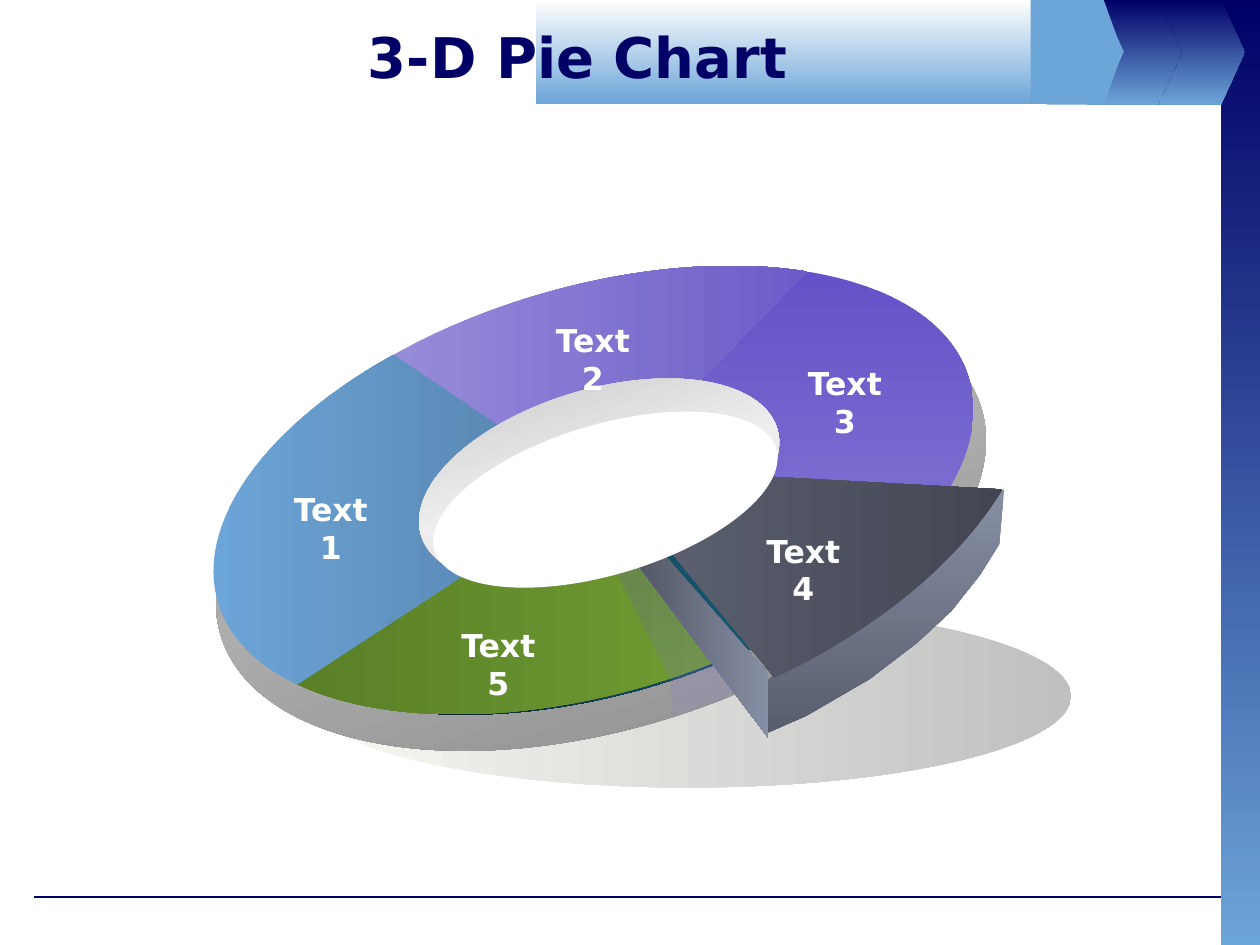
from copy import deepcopy
from math import cos, radians, sin

from lxml.etree import SubElement
from pptx import Presentation
from pptx.dml.color import RGBColor
from pptx.enum.shapes import MSO_CONNECTOR, MSO_SHAPE
from pptx.enum.text import MSO_ANCHOR, PP_ALIGN
from pptx.oxml.ns import qn
from pptx.util import Inches, Pt

NAVY = RGBColor(0x00, 0x00, 0x66)
SKY = RGBColor(0x6C, 0xA5, 0xD8)
STEEL = RGBColor(0x55, 0x80, 0xA8)
TEAL = RGBColor(0x27, 0x91, 0xBB)
WHITE = RGBColor(0xFF, 0xFF, 0xFF)
NEAR_WHITE = RGBColor(0xFE, 0xFE, 0xFE)
BLACK = RGBColor(0x00, 0x00, 0x00)
IVORY = RGBColor(0xF7, 0xF9, 0xF2)
PALE_GREY = RGBColor(0xEE, 0xEE, 0xEE)
SILVER = RGBColor(0xC0, 0xC0, 0xC0)
MID_GREY = RGBColor(0xAD, 0xAD, 0xAD)
GREY = RGBColor(0x80, 0x80, 0x80)
LILAC = RGBColor(0x97, 0x8C, 0xDA)
ORCHID = RGBColor(0x6D, 0x5C, 0xC8)
VIOLET = RGBColor(0x65, 0x52, 0xC8)
SOFT_VIOLET = RGBColor(0x7A, 0x6B, 0xD0)
DEEP_VIOLET = RGBColor(0x5D, 0x4B, 0xC7)
MAUVE = RGBColor(0x92, 0x86, 0xD8)
OLIVE = RGBColor(0x5A, 0x80, 0x28)
GREEN = RGBColor(0x6E, 0x9B, 0x31)
SLATE = RGBColor(0x5F, 0x64, 0x74)
CHARCOAL = RGBColor(0x43, 0x46, 0x52)
DARK_SLATE = RGBColor(0x4D, 0x52, 0x5E)
WALL_DARK = RGBColor(0x59, 0x5E, 0x6D)
WALL_LIGHT = RGBColor(0x87, 0x8F, 0xA5)

ACROSS, DOWN = 0, 90
TILT = -16.6


class SlidePainter:
    """Holds the text style and the slide being drawn."""

    base_font = {"name": "DejaVu Sans", "bold": True}

    def __init__(self, slide):
        self.shapes = slide.shapes

    def paint(self, shape, colors, angle=DOWN, opacity=None):
        """Fill with one colour, or with evenly spaced gradient colours."""
        shape.shadow.inherit = False
        shape.line.fill.background()
        if len(colors) == 1:
            shape.fill.solid()
            shape.fill.fore_color.rgb = colors[0]
            return
        shape.fill.gradient()
        shape.fill.gradient_angle = (360 - angle) % 360
        stop_list = shape._element.spPr.find(qn("a:gradFill")).find(qn("a:gsLst"))
        for _ in colors[2:]:
            stop_list.append(deepcopy(stop_list[-1]))
        for i, (stop, color) in enumerate(zip(shape.fill.gradient_stops, colors)):
            stop.position = i / (len(colors) - 1)
            stop.color.rgb = color
            if opacity is not None:
                alpha = SubElement(stop_list[i][0], qn("a:alpha"))
                alpha.set("val", str(opacity * 1000))

    def preset(self, kind, box, *colors, angle=DOWN, rotation=0):
        shape = self.shapes.add_shape(kind, *map(Inches, box))
        shape.rotation = rotation
        self.paint(shape, colors, angle)

    def polygon(self, points, *colors, angle=DOWN, opacity=None):
        corners = [(Inches(x), Inches(y)) for x, y in points]
        builder = self.shapes.build_freeform(*corners[0])
        builder.add_line_segments(corners[1:], close=True)
        self.paint(builder.convert_to_shape(), colors, angle, opacity)

    def chevron(self, left, shoulder, tip, *colors, height=0.83):
        self.polygon([(left, 0), (shoulder, 0), (tip, height / 2),
                      (shoulder, height), (left, height)], *colors)

    def wedge(self, center, radii, tilt, start, end, *colors, angle=ACROSS):
        """Sector of a tilted ellipse; angles run clockwise from its long axis."""
        (cx, cy), (rx, ry), turn = center, radii, radians(tilt)
        points = [center]
        steps = 40
        for i in range(steps + 1):
            t = radians(start + (end - start) * i / steps)
            u, v = rx * cos(t), ry * sin(t)
            points.append((cx + u * cos(turn) - v * sin(turn),
                           cy + u * sin(turn) + v * cos(turn)))
        self.polygon(points, *colors, angle=angle)

    def rule(self, start, end, color, width):
        line = self.shapes.add_connector(
            MSO_CONNECTOR.STRAIGHT, *map(Inches, (*start, *end)))
        line.line.color.rgb = color
        line.line.width = Pt(width)
        SubElement(line._element.spPr, qn("a:effectLst"))

    def text(self, content, box, size, color, anchor=MSO_ANCHOR.TOP):
        frame = self.shapes.add_textbox(*map(Inches, box)).text_frame
        frame.word_wrap = True
        frame.vertical_anchor = anchor
        paragraph = frame.paragraphs[0]
        paragraph.alignment = PP_ALIGN.CENTER
        run = paragraph.add_run()
        run.text = content
        for key, value in {**self.base_font, "size": Pt(size)}.items():
            setattr(run.font, key, value)
        run.font.color.rgb = color


def main():
    deck = Presentation()
    deck.slide_width, deck.slide_height = Inches(10), Inches(7.5)
    painter = SlidePainter(deck.slides.add_slide(deck.slide_layouts[6]))
    rectangle, ellipse = MSO_SHAPE.RECTANGLE, MSO_SHAPE.OVAL

    # Frame: footer rule, side bar and header arrows
    painter.rule((0.27, 7.12), (9.69, 7.12), NAVY, 0.75)
    painter.preset(rectangle, (9.69, 0, 0.31, 7.53), NAVY, SKY)
    painter.chevron(9.13, 9.69, 9.88, NAVY, SKY)
    painter.chevron(8.63, 9.19, 9.38, NAVY, SKY)
    painter.chevron(8.31, 8.76, 8.91, SKY)
    painter.preset(rectangle, (4.25, 0, 4.18, 0.83), NEAR_WHITE, SKY)
    painter.chevron(8.18, 8.73, 8.92, SKY, height=0.82)

    # Shadow and body of the ring
    painter.preset(ellipse, (2.42, 4.8, 6.08, 1.45), IVORY, SILVER, angle=ACROSS)
    painter.preset(ellipse, (1.62, 2.49, 6.3, 3.3), GREY, MID_GREY, GREY,
                   rotation=TILT)
    painter.preset(ellipse, (1.69, 2.31, 6.08, 3.2), BLACK, TEAL,
                   angle=ACROSS, rotation=TILT)

    # Ring segments
    segments = [
        (-47, 29.5, VIOLET, SOFT_VIOLET, DOWN),
        (80, 150, GREEN, OLIVE, 180),
        (247, 313, LILAC, ORCHID, ACROSS),
        (150, 247, SKY, STEEL, ACROSS),
    ]
    for start, end, first, last, angle in segments:
        painter.wedge((4.71, 3.89), (3.11, 1.61), TILT, start, end,
                      first, last, angle=angle)

    # Pulled-out segment with its outer and inner walls
    painter.polygon([(6.07, 5.42), (7.97, 3.88), (7.93, 4.32), (7.78, 4.56),
                     (7.55, 4.85), (7.28, 5.1), (6.9, 5.39), (6.4, 5.68),
                     (6.08, 5.82)], WALL_LIGHT, WALL_DARK)
    painter.wedge((4.77, 3.71), (3.57, 2.06), -17.7, 33.4, 77, SLATE, CHARCOAL)
    painter.polygon([(6.1, 5.35), (6.1, 5.86), (4.97, 4.36), (5.14, 4.25)],
                    DARK_SLATE, WALL_LIGHT, angle=ACROSS)

    # Inner rim
    painter.preset(ellipse, (3.28, 3.09, 2.95, 1.47), SILVER, PALE_GREY, SILVER,
                   rotation=TILT)

    # Segment labels
    label_corners = [(2.18, 3.84), (4.26, 2.5), (6.26, 2.84), (5.93, 4.17),
                     (3.51, 4.92)]
    for number, corner in enumerate(label_corners, 1):
        painter.text(f"Text{number}", (*corner, 0.89, 0.4), 18, WHITE)

    # Reflection on the green segment, then the hole
    painter.polygon([(4.88, 4.51), (5.33, 5.4), (5.34, 5.67), (5.66, 5.57),
                     (5.83, 5.49), (5.08, 4.49)], DEEP_VIOLET, MAUVE, opacity=19)
    painter.preset(ellipse, (3.39, 3.37, 2.83, 1.19), WHITE, rotation=TILT)

    # Title
    painter.text("3-D Pie Chart", (0.5, 0.09, 8.17, 0.71), 32, NAVY,
                 MSO_ANCHOR.MIDDLE)

    deck.save("out.pptx")


if __name__ == "__main__":
    main()
